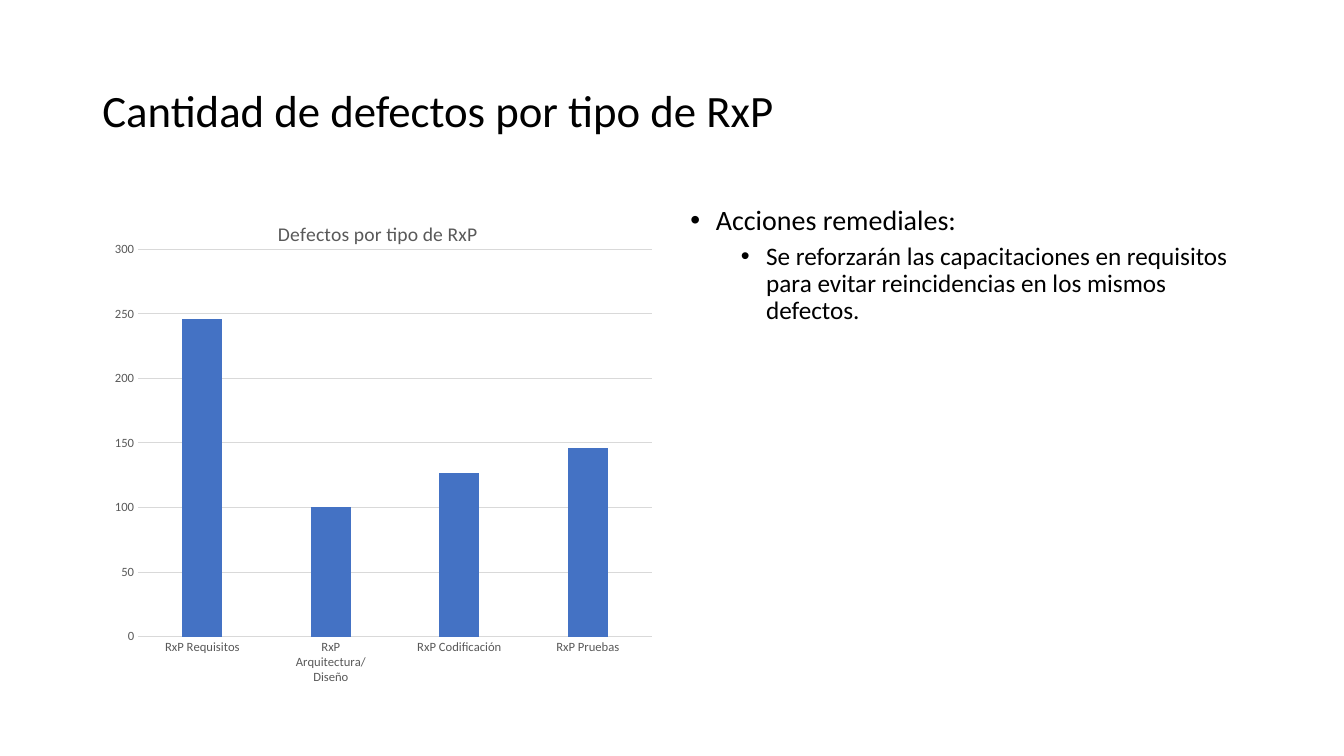
"""Build the slide on defects by type of RxP."""
import lxml.etree
import pptx
import pptx.chart.data
import pptx.dml.color
import pptx.enum.chart
import pptx.enum.text
import pptx.oxml.ns
import pptx.util

Cm = pptx.util.Cm
Pt = pptx.util.Pt
RGBColor = pptx.dml.color.RGBColor
qn = pptx.oxml.ns.qn

BLACK = RGBColor(0x00, 0x00, 0x00)
GRAY = RGBColor(0x59, 0x59, 0x59)
GRID = RGBColor(0xD9, 0xD9, 0xD9)
BLUE = RGBColor(0x44, 0x72, 0xC4)
FONT = "Calibri"
LEFT, RIGHT_COLUMN = Cm(2.33), Cm(17.15)
CONTENT_TOP = Cm(5.08)
COLUMN_WIDTH, COLUMN_HEIGHT = Cm(14.39), Cm(12.09)
CHART_TITLE = "Defectos por tipo de RxP"
DEFECTS = {
    "RxP Requisitos": 246,
    "RxP Arquitectura/Diseño": 100,
    "RxP Codificación": 127,
    "RxP Pruebas": 146,
}
ACTIONS = [
    ("Acciones remediales:", 0, 20, 0.64, 0),
    ("Se reforzarán las capacitaciones en requisitos para evitar "
     "reincidencias en los mismos defectos.", 1, 18, 1.91, 5),
]


def style_font(font, size, color):
    """Apply the slide typeface with a size and a colour."""
    font.name = FONT
    font.size = Pt(size)
    font.bold = False
    font.color.rgb = color


def style_line(line):
    """Give a chart line its thin light gray look."""
    line.color.rgb = GRID
    line.width = Pt(0.75)


def add_box(page, left, top, width, height):
    """Add an empty wrapping text box and return its frame."""
    frame = page.shapes.add_textbox(left, top, width, height).text_frame
    frame.word_wrap = True
    return frame


def add_title(page, text):
    """Add the slide title."""
    frame = add_box(page, LEFT, Cm(1.01), Cm(29.21), Cm(3.68))
    frame.vertical_anchor = pptx.enum.text.MSO_ANCHOR.MIDDLE
    frame.text = text
    para = frame.paragraphs[0]
    para.line_spacing = 0.9
    style_font(para.runs[0].font, 32, BLACK)


def add_bullet(para, indent):
    """Put a hanging round bullet on a paragraph."""
    properties = para._p.get_or_add_pPr()
    properties.set("marL", str(Cm(indent)))
    properties.set("indent", str(-Cm(0.64)))
    lxml.etree.SubElement(properties, qn("a:buFont"), typeface="Arial")
    lxml.etree.SubElement(properties, qn("a:buChar"), char="•")


def add_bullet_list(page, items):
    """Add the bulleted list in the right column."""
    frame = add_box(page, RIGHT_COLUMN, CONTENT_TOP, COLUMN_WIDTH, COLUMN_HEIGHT)
    for number, (text, level, size, indent, space) in enumerate(items):
        para = frame.add_paragraph() if number else frame.paragraphs[0]
        para.text = text
        para.level = level
        add_bullet(para, indent)
        para.line_spacing = 0.9
        para.space_before = Pt(space)
        style_font(para.runs[0].font, size, BLACK)


def set_plot_area(chart, **bounds):
    """Fix the inner plot area as fractions of the chart."""
    area = chart._chartSpace.chart.plotArea
    for old in area.findall(qn("c:layout")):
        area.remove(old)
    layout = lxml.etree.Element(qn("c:layout"))
    manual = lxml.etree.SubElement(layout, qn("c:manualLayout"))
    settings = {"layoutTarget": "inner", "xMode": "edge", "yMode": "edge", **bounds}
    for name, value in settings.items():
        lxml.etree.SubElement(manual, qn("c:" + name), val=str(value))
    area.insert(0, layout)


def style_axes(chart):
    """Style both axes and the horizontal grid."""
    for axis in (chart.category_axis, chart.value_axis):
        axis.major_tick_mark = pptx.enum.chart.XL_TICK_MARK.NONE
        axis.minor_tick_mark = pptx.enum.chart.XL_TICK_MARK.NONE
        style_font(axis.tick_labels.font, 9, GRAY)
    style_line(chart.category_axis.format.line)
    values = chart.value_axis
    values.minimum_scale, values.maximum_scale, values.major_unit = 0, 300, 50
    values.format.line.fill.background()
    values.has_major_gridlines = True
    style_line(values.major_gridlines.format.line)


def add_defect_chart(page):
    """Add the column chart of defects in the left column."""
    data = pptx.chart.data.CategoryChartData()
    data.categories = list(DEFECTS)
    data.add_series(CHART_TITLE, list(DEFECTS.values()))
    chart = page.shapes.add_chart(
        pptx.enum.chart.XL_CHART_TYPE.COLUMN_CLUSTERED,
        LEFT, CONTENT_TOP, COLUMN_WIDTH, COLUMN_HEIGHT, data).chart
    style_font(chart.font, 10, BLACK)
    chart.has_legend = False
    chart.has_title = True
    title = chart.chart_title
    title.include_in_layout = False
    title.text_frame.text = CHART_TITLE
    style_font(title.text_frame.paragraphs[0].runs[0].font, 14, GRAY)
    plot = chart.plots[0]
    plot.vary_by_categories = False
    plot.gap_width = 219
    plot.overlap = -27
    fill = plot.series[0].format.fill
    fill.solid()
    fill.fore_color.rgb = BLUE
    style_axes(chart)
    set_plot_area(chart, x=0.08, y=0.1, w=0.9, h=0.81)


def main():
    """Create and save the deck."""
    deck = pptx.Presentation()
    deck.slide_width, deck.slide_height = Cm(33.87), Cm(19.05)
    page = deck.slides.add_slide(deck.slide_layouts[6])
    add_title(page, "Cantidad de defectos por tipo de RxP")
    add_bullet_list(page, ACTIONS)
    add_defect_chart(page)
    deck.save("out.pptx")


if __name__ == "__main__":
    main()
